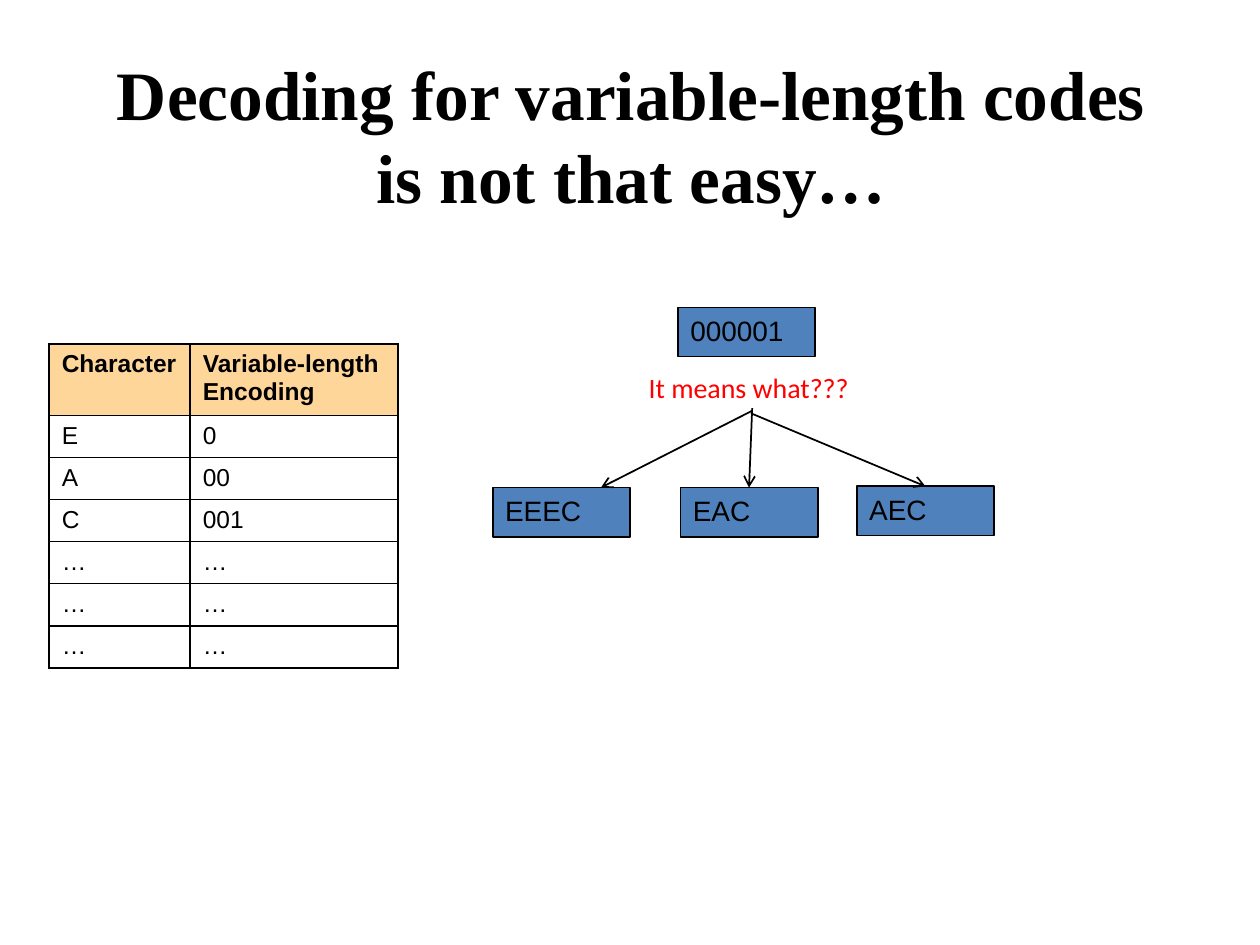
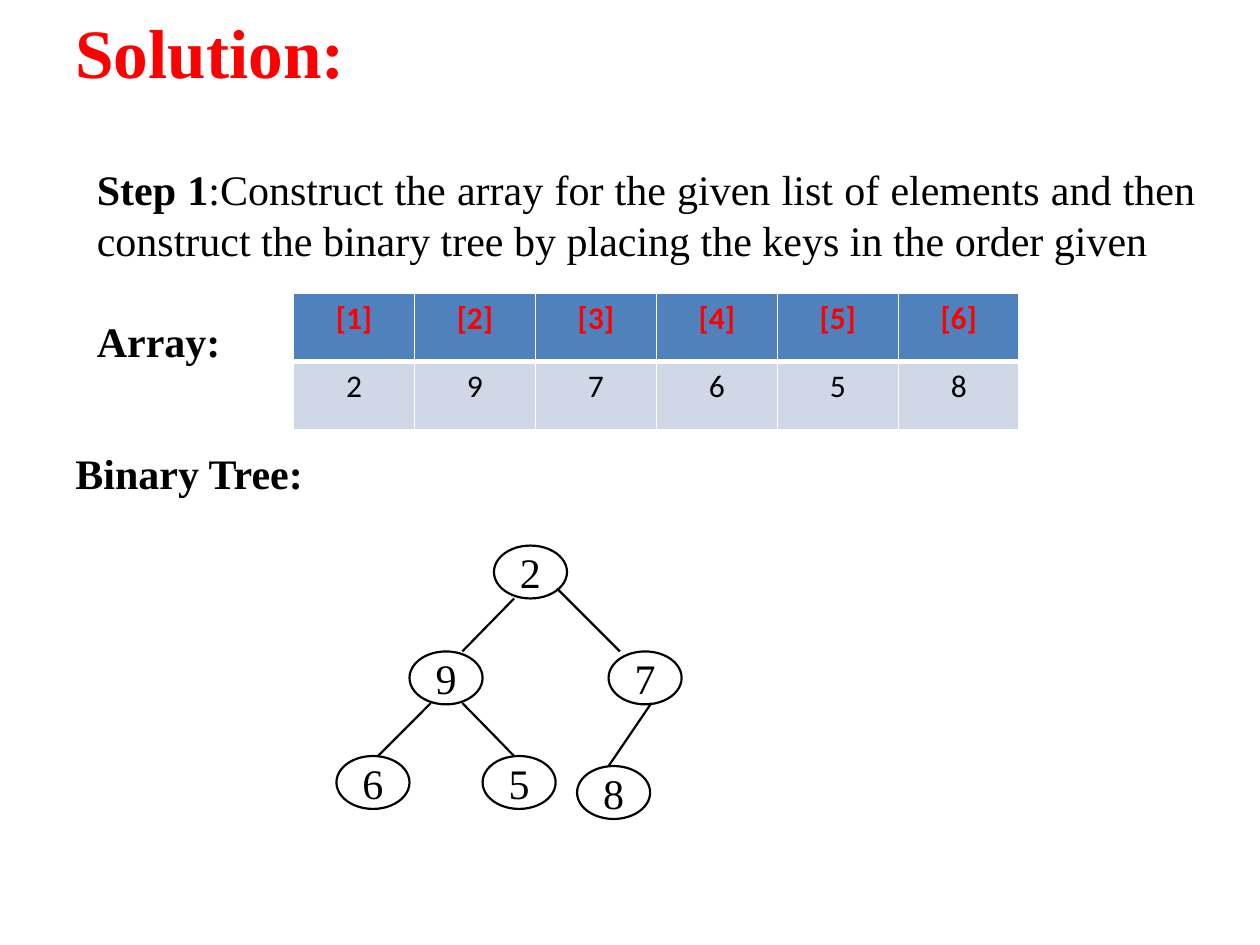
from dataclasses import dataclass
from typing import Optional

import lxml.etree
import pptx
import pptx.dml.color
import pptx.enum.shapes
import pptx.enum.text
import pptx.oxml.ns
import pptx.util

Inches = pptx.util.Inches
Pt = pptx.util.Pt
RGBColor = pptx.dml.color.RGBColor
Align = pptx.enum.text.PP_ALIGN
Anchor = pptx.enum.text.MSO_ANCHOR
Preset = pptx.enum.shapes.MSO_SHAPE
qn = pptx.oxml.ns.qn

BLACK = RGBColor(0x00, 0x00, 0x00)
WHITE = RGBColor(0xFF, 0xFF, 0xFF)
RED = RGBColor(0xFF, 0x00, 0x00)
BLUE = RGBColor(0x4F, 0x81, 0xBD)
PALE_BLUE = RGBColor(0xD0, 0xD8, 0xE8)
PEACH = RGBColor(0xFF, 0xD6, 0x99)


@dataclass(frozen=True)
class Style:
    font: str
    size: float
    color: RGBColor = BLACK
    bold: bool = False
    align: Align = Align.LEFT


@dataclass(frozen=True)
class Box:
    left: float
    top: float
    width: float
    height: float

    def lengths(self):
        return [Inches(value) for value in (self.left, self.top, self.width, self.height)]


@dataclass(frozen=True)
class Label:
    """A word or key and the top left corner of its outline."""
    text: str
    left: float
    top: float


@dataclass(frozen=True)
class Segment:
    start: tuple[float, float]
    end: tuple[float, float]


TITLE = Style("Times New Roman", 39.6, bold=True, align=Align.CENTER)
RED_TITLE = Style("Times New Roman", 39.6, RED, bold=True)
BODY = Style("Times New Roman", 24, align=Align.JUSTIFY)
HEADING = Style("Times New Roman", 24, bold=True, align=Align.JUSTIFY)
NODE = Style("Times New Roman", 24, align=Align.CENTER)
CODE = Style("Arial", 16)
QUESTION = Style("Calibri", 16, RED)
ENCODING_HEADER = Style("Arial", 14, bold=True)
ENCODING_BODY = Style("Arial", 14)
INDEX = Style("Calibri", 18, RED, bold=True, align=Align.CENTER)
VALUE = Style("Calibri", 18, align=Align.CENTER)

ENCODINGS = [("Character", "Variable-length Encoding"),
             ("E", "0"), ("A", "00"), ("C", "001")] + [("…", "…")] * 3
CODE_SIZE = (1.09, 0.39)
BIT_STRING = Label("000001", 5.38, 2.44)
# Each possible decoding, its arrow, and whether the arrow joins its top middle
DECODINGS = [
    (Label("EEEC", 3.91, 3.87), Segment((5.97, 3.26), (4.77, 3.87)), False),
    (Label("EAC", 5.4, 3.87), Segment((5.97, 3.24), (5.94, 3.87)), True),
    (Label("AEC", 6.8, 3.86), Segment((5.96, 3.28), (7.35, 3.86)), True),
]

KEYS = ("2", "9", "7", "6", "5", "8")
NODE_SIZE = (0.58, 0.42)
NODE_CORNERS = [(3.92, 4.33), (3.25, 5.17), (4.83, 5.17), (2.67, 6), (3.83, 6), (4.58, 6.08)]
BRANCHES = [
    Segment((4.08, 4.75), (3.67, 5.17)),
    Segment((4.42, 4.67), (4.92, 5.17)),
    Segment((3.42, 5.58), (3, 6)),
    Segment((3.67, 5.58), (4.08, 6)),
    Segment((5.17, 5.58), (4.83, 6.08)),
]


def style_paragraph(paragraph, style: Style) -> None:
    paragraph.alignment = style.align
    font = paragraph.font
    font.name, font.size, font.bold = style.font, Pt(style.size), style.bold
    font.color.rgb = style.color


def add_text(slide, box: Box, text: str, style: Style, anchor: Anchor = Anchor.TOP):
    frame = slide.shapes.add_textbox(*box.lengths()).text_frame
    frame.word_wrap = True
    frame.vertical_anchor = anchor
    frame.text = text
    style_paragraph(frame.paragraphs[0], style)
    return frame


def add_outline(slide, preset: Preset, label: Label, size: tuple[float, float], style: Style,
                line_width: float, fill: Optional[RGBColor] = None):
    box = Box(label.left, label.top, *size)
    shape = slide.shapes.add_shape(preset, *box.lengths())
    shape.shadow.inherit = False
    if fill is None:
        shape.fill.background()
    else:
        shape.fill.solid()
        shape.fill.fore_color.rgb = fill
    shape.line.color.rgb = BLACK
    shape.line.width = Pt(line_width)
    shape.text_frame.text = label.text
    style_paragraph(shape.text_frame.paragraphs[0], style)
    return shape


def add_code_box(slide, label: Label):
    shape = add_outline(slide, Preset.RECTANGLE, label, CODE_SIZE, CODE, 1, BLUE)
    shape.text_frame.vertical_anchor = Anchor.TOP
    return shape


def add_line(slide, segment: Segment, width: float, arrow: bool = False):
    ends = [Inches(value) for value in segment.start + segment.end]
    connector = slide.shapes.add_connector(pptx.enum.shapes.MSO_CONNECTOR.STRAIGHT, *ends)
    connector.line.color.rgb = BLACK
    connector.line.width = Pt(width)
    if arrow:
        line = connector.line._get_or_add_ln()
        lxml.etree.SubElement(line, qn("a:tailEnd"), type="arrow")
    lxml.etree.SubElement(connector._element.spPr, qn("a:effectLst"))
    return connector


def set_borders(cell, color: RGBColor, widths: dict[str, float]) -> None:
    """Draw the L, R, T and B sides; call it before filling the cell."""
    properties = cell._tc.get_or_add_tcPr()
    for side in "LRTB":
        line = lxml.etree.SubElement(properties, qn(f"a:ln{side}"), w=str(Pt(widths.get(side, 1))))
        fill = lxml.etree.SubElement(line, qn("a:solidFill"))
        lxml.etree.SubElement(fill, qn("a:srgbClr"), val=str(color))


def add_grid(slide, left: float, top: float, columns: list[float], rows: list[float], texts,
             styles: tuple[Style, Style], fills: tuple[RGBColor, Optional[RGBColor]],
             border: RGBColor, header_rule: float = 1) -> None:
    """Add a table; styles and fills are given for the header and then the body."""
    box = Box(left, top, sum(columns), sum(rows))
    table = slide.shapes.add_table(len(rows), len(columns), *box.lengths()).table
    for column, width in zip(table.columns, columns):
        column.width = Inches(width)
    for row_index, (row, height) in enumerate(zip(table.rows, rows)):
        row.height = Inches(height)
        part = min(row_index, 1)
        rules = {0: {"B": header_rule}, 1: {"T": header_rule}}.get(row_index, {})
        for cell, text in zip(row.cells, texts[row_index]):
            set_borders(cell, border, rules)
            if fills[part] is None:
                cell.fill.background()
            else:
                cell.fill.solid()
                cell.fill.fore_color.rgb = fills[part]
            cell.text = text
            style_paragraph(cell.text_frame.paragraphs[0], styles[part])


def build_decoding_slide(slide) -> None:
    add_text(slide, Box(0.76, 0.44, 8.5, 1.25),
             "Decoding for variable-length codes is not that easy…", TITLE, Anchor.MIDDLE)
    add_grid(slide, 0.39, 2.73, [1.12, 1.65], [0.54] + [0.32] * 6, ENCODINGS,
             (ENCODING_HEADER, ENCODING_BODY), (PEACH, None), BLACK)
    add_code_box(slide, BIT_STRING)
    add_text(slide, Box(5.05, 2.89, 2.1, 0.37), "It means what???", QUESTION)
    for label, segment, joined in DECODINGS:
        code_box = add_code_box(slide, label)
        arrow = add_line(slide, segment, 1, arrow=True)
        if joined:
            arrow.end_connect(code_box, 0)


def build_solution_slide(slide) -> None:
    add_text(slide, Box(0.5, 0.02, 9, 0.77), "Solution:", RED_TITLE, Anchor.MIDDLE)
    frame = add_text(slide, Box(0.67, 1.25, 8.92, 1.75), "Step 1", BODY)
    step = frame.paragraphs[0]
    step.runs[0].font.bold = True
    step.add_run().text = (":Construct the array for the given list of elements and then "
                           "construct the binary tree by placing the keys in the order given")
    array_heading = frame.add_paragraph()
    array_heading.text = "Array:"
    array_heading.space_before = Pt(29)
    style_paragraph(array_heading, HEADING)

    indexes = [f"[{position}]" for position in range(1, len(KEYS) + 1)]
    add_grid(slide, 2.33, 2.33, [0.96] * len(KEYS), [0.54] * 2, [indexes, KEYS],
             (INDEX, VALUE), (BLUE, PALE_BLUE), WHITE, header_rule=3)

    add_text(slide, Box(0.5, 3.5, 2.42, 0.5), "Binary Tree:", HEADING)
    for key, corner in zip(KEYS, NODE_CORNERS):
        node = add_outline(slide, Preset.OVAL, Label(key, *corner), NODE_SIZE, NODE, 1.25)
        node.text_frame.word_wrap = False
        node.text_frame.vertical_anchor = Anchor.MIDDLE
    for branch in BRANCHES:
        add_line(slide, branch, 1.25)


def main() -> None:
    presentation = pptx.Presentation()
    presentation.slide_width = Inches(10)
    presentation.slide_height = Inches(7.5)
    blank_layout = presentation.slide_layouts[6]
    for build in (build_decoding_slide, build_solution_slide):
        build(presentation.slides.add_slide(blank_layout))
    presentation.save("out.pptx")


if __name__ == "__main__":
    main()
